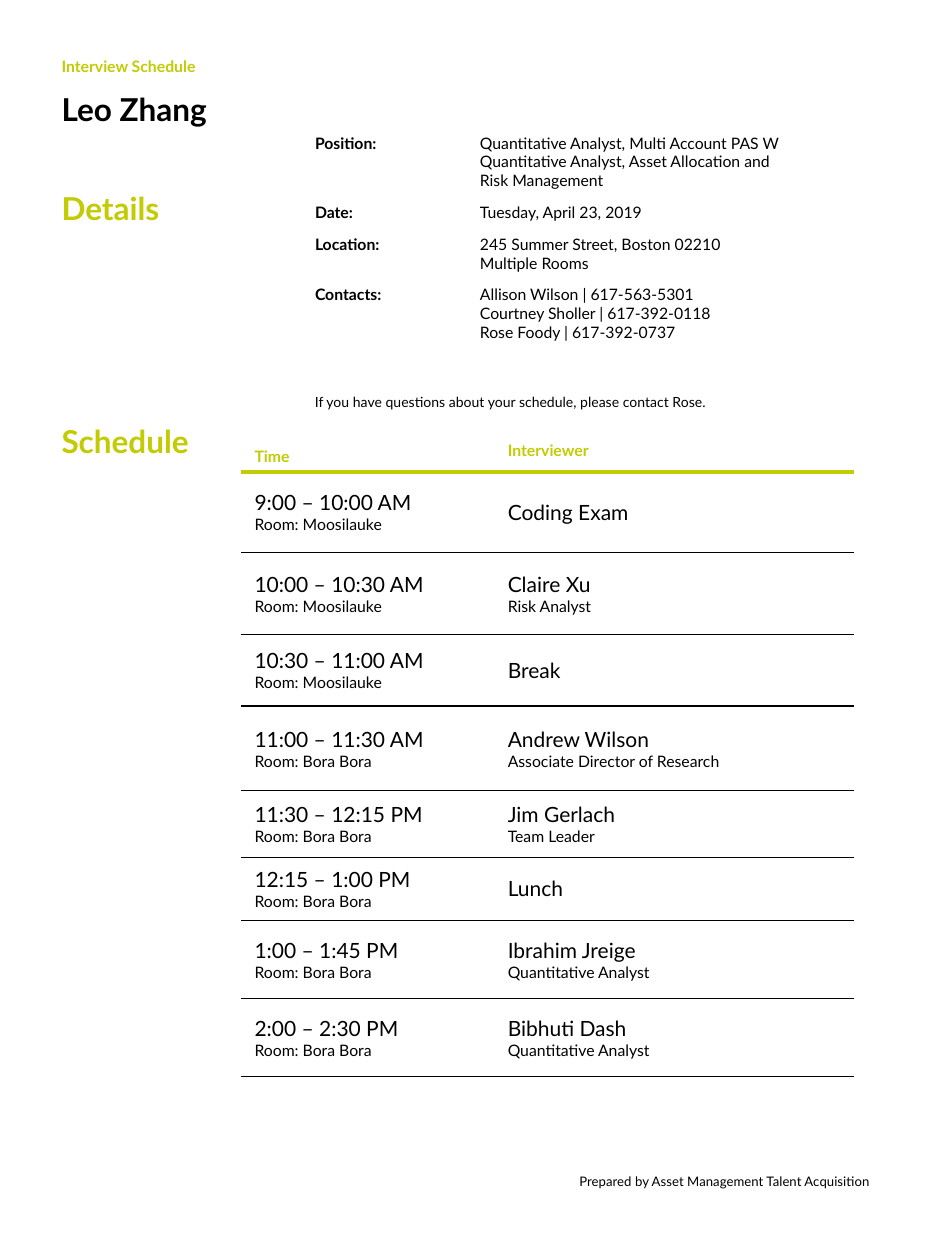
from lxml.etree import SubElement
from pptx import Presentation
from pptx.dml.color import RGBColor
from pptx.enum.text import MSO_ANCHOR
from pptx.oxml.ns import qn
from pptx.util import Inches, Pt

GREEN, BLACK, WHITE = "C2CB03", "000000", "FFFFFF"


def add_text(paragraph, text, size, color=BLACK, bold=False, line_spacing=None):
    run = paragraph.add_run()
    run.text = text
    run.font.name = "Lato"
    run.font.size = Pt(size)
    run.font.bold = bold
    run.font.color.rgb = RGBColor.from_string(color)
    if line_spacing:
        paragraph.line_spacing = Pt(line_spacing)


def set_borders(cell, top, bottom):
    """Draw white side borders; top and bottom are (color, points) pairs."""
    properties = cell._tc.get_or_add_tcPr()
    sides = {"a:lnL": (WHITE, 1), "a:lnR": (WHITE, 1), "a:lnT": top, "a:lnB": bottom}
    for position, (tag, (color, points)) in enumerate(sides.items()):
        line = SubElement(properties, qn(tag), w=str(Pt(points)))
        fill = SubElement(line, qn("a:solidFill"))
        SubElement(fill, qn("a:srgbClr"), val=color)
        properties.insert(position, line)  # borders come before the cell fill


presentation = Presentation()
presentation.slide_width = Inches(7.5)
presentation.slide_height = Inches(10)
slide = presentation.slides.add_slide(presentation.slide_layouts[6])

# Headings and notes: box, then (text, size, color, bold, line spacing) per paragraph
text_boxes = [
    ((0.39, 0.34, 6.77, 0.8), [("Interview Schedule", 9, GREEN, True, 15),
                               ("Leo Zhang", 18, BLACK, True, 15)]),
    ((0.39, 1.54, 1.95, 0.42), [("Details", 18, GREEN, True, 15)]),
    ((0.39, 3.39, 1.5, 0.42), [("Schedule", 18, GREEN, True, 15)]),
    ((2.4, 3.04, 3.89, 0.38), [
        ("If you have questions about your schedule, please contact Rose.",
         8, BLACK, False, 12)]),
    ((4.5, 9.26, 2.9, 0.33), [
        ("Prepared by Asset Management Talent Acquisition", 7.5, BLACK, False, 9)]),
]
for box, paragraphs in text_boxes:
    frame = slide.shapes.add_textbox(*map(Inches, box)).text_frame
    frame.word_wrap = True
    for index, content in enumerate(paragraphs):
        paragraph = frame.add_paragraph() if index else frame.paragraphs[0]
        if index:
            paragraph.space_before = Pt(15)
        add_text(paragraph, *content)

# Schedule: row height, time, room, interviewer, role
sessions = [
    (0.64, "9:00 – 10:00 AM", "Moosilauke", "Coding Exam", ""),
    (0.65, "10:00 – 10:30 AM", "Moosilauke", "Claire Xu", "Risk Analyst"),
    (0.57, "10:30 – 11:00 AM", "Moosilauke", "Break", ""),
    (0.67, "11:00 – 11:30 AM", "Bora Bora", "Andrew Wilson",
     "Associate Director of Research"),
    (0.53, "11:30 – 12:15 PM", "Bora Bora", "Jim Gerlach", "Team Leader"),
    (0.5, "12:15 – 1:00 PM", "Bora Bora", "Lunch", ""),
    (0.62, "1:00 – 1:45 PM", "Bora Bora", "Ibrahim Jreige", "Quantitative Analyst"),
    (0.62, "2:00 – 2:30 PM", "Bora Bora", "Bibhuti Dash", "Quantitative Analyst"),
]
schedule = slide.shapes.add_table(
    len(sessions) + 1, 2, Inches(1.92), Inches(3.45), Inches(4.85), Inches(5.1)).table
schedule.horz_banding = False
schedule.columns[0].width = Inches(2.01)
schedule.columns[1].width = Inches(2.84)
schedule.rows[0].height = Inches(0.29)

header_rule, row_rule = (GREEN, 3), (BLACK, 1)
for column, (title, spacing) in enumerate([("Time", 14), ("Interviewer", None)]):
    cell = schedule.cell(0, column)
    cell.fill.background()
    set_borders(cell, (WHITE, 1), header_rule)
    add_text(cell.text_frame.paragraphs[0], title, 9, GREEN, True, spacing)

for row, (height, time, room, interviewer, role) in enumerate(sessions, start=1):
    schedule.rows[row].height = Inches(height)
    entries = [(time, f"Room: {room}"), (interviewer, role)]
    for column, (main_line, small_line) in enumerate(entries):
        cell = schedule.cell(row, column)
        cell.fill.background()
        cell.vertical_anchor = MSO_ANCHOR.MIDDLE
        set_borders(cell, header_rule if row == 1 else row_rule, row_rule)
        add_text(cell.text_frame.paragraphs[0], main_line, 12)
        if small_line:
            add_text(cell.text_frame.add_paragraph(), small_line, 9)

# Details: row height, label, lines
details = [
    (0.55, "Position:", ["Quantitative Analyst, Multi Account PAS W",
                         "Quantitative Analyst, Asset Allocation and Risk Management"]),
    (0.25, "Date:", ["Tuesday, April 23, 2019"]),
    (0.4, "Location:", ["245 Summer Street, Boston 02210", "Multiple Rooms"]),
    (0.7, "Contacts:", ["Allison Wilson | 617-563-5301",
                        "Courtney Sholler | 617-392-0118",
                        "Rose Foody | 617-392-0737"]),
]
details_table = slide.shapes.add_table(
    len(details), 3, Inches(2.4), Inches(1.01), Inches(3.97), Inches(1.9)).table
details_table.first_row = False
details_table.horz_banding = False
for column, width in enumerate([1.07, 0.23, 2.67]):
    details_table.columns[column].width = Inches(width)

for row, (height, label, lines) in enumerate(details):
    details_table.rows[row].height = Inches(height)
    for column, texts in enumerate([[label], [], lines]):
        cell = details_table.cell(row, column)
        cell.fill.solid()
        cell.fill.fore_color.rgb = RGBColor.from_string(WHITE)
        set_borders(cell, (WHITE, 1), (WHITE, 1))
        frame = cell.text_frame
        for index, text in enumerate(texts):
            paragraph = frame.add_paragraph() if index else frame.paragraphs[0]
            add_text(paragraph, text, 9, bold=column == 0)
        if not texts:  # small text size keeps the gap column from stretching the row
            SubElement(frame.paragraphs[0]._p, qn("a:endParaRPr"), sz="900")

presentation.save("out.pptx")
